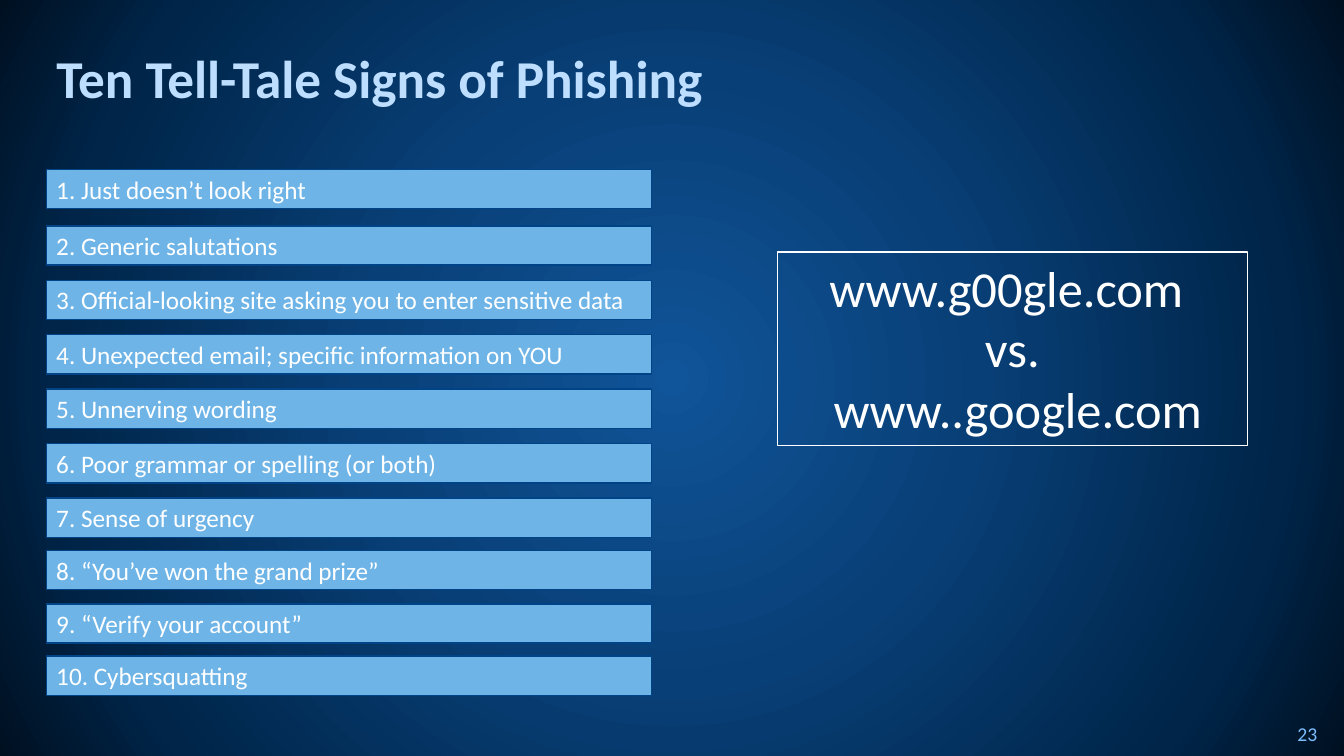
from pptx import Presentation
from pptx.dml.color import RGBColor
from pptx.enum import shapes, text
from pptx.oxml import parse_xml
from pptx.oxml.ns import nsdecls
from pptx.util import Inches, Pt

FONT = "Calibri"
TITLE_BLUE = RGBColor(0xBD, 0xDE, 0xFF)
NUMBER_BLUE = RGBColor(0x7B, 0xBE, 0xFF)
BAR_BLUE = RGBColor(0x6E, 0xB4, 0xE7)
BAR_EDGE = RGBColor(0x00, 0x43, 0x86)
WHITE = RGBColor(0xFF, 0xFF, 0xFF)
BACKDROP = [
    (0, RGBColor(0x10, 0x54, 0x99)),
    (40, RGBColor(0x08, 0x3F, 0x76)),
    (80, RGBColor(0x00, 0x25, 0x49)),
    (100, RGBColor(0x00, 0x10, 0x21)),
]
SIGNS = [
    (1.68, "Just doesn’t look right"),
    (2.24, "Generic salutations"),
    (2.78, "Official-looking site asking you to enter sensitive data"),
    (3.32, "Unexpected email; specific information on YOU"),
    (3.86, "Unnerving wording"),
    (4.4, "Poor grammar or spelling (or both)"),
    (4.94, "Sense of urgency"),
    (5.46, "“You’ve won the grand prize”"),
    (5.99, "“Verify your account”"),
    (6.51, "Cybersquatting"),
]
ADDRESSES = ["www.g00gle.com ", "vs.", " www..google.com"]


def set_backdrop(page):
    stops = "".join(
        f'<a:gs pos="{percent * 1000}"><a:srgbClr val="{color}"/></a:gs>'
        for percent, color in BACKDROP
    )
    page.element.cSld.insert(0, parse_xml(
        f'<p:bg {nsdecls("p", "a")}><p:bgPr><a:gradFill rotWithShape="1">'
        f'<a:gsLst>{stops}</a:gsLst><a:path path="circle">'
        '<a:fillToRect l="50000" t="50000" r="50000" b="50000"/></a:path>'
        '</a:gradFill><a:effectLst/></p:bgPr></p:bg>'
    ))


def place(shape, left, top, width, height):
    shape.left, shape.top = Inches(left), Inches(top)
    shape.width, shape.height = Inches(width), Inches(height)


def write(shape, lines, size, color, align=text.PP_ALIGN.LEFT, bold=False):
    frame = shape.text_frame
    frame.text = "\n".join(lines)
    frame.word_wrap = True
    frame.vertical_anchor = text.MSO_ANCHOR.MIDDLE
    for para in frame.paragraphs:
        para.alignment = align
        for span in para.runs:
            span.font.name = FONT
            span.font.size = Pt(size)
            span.font.bold = bold
            span.font.color.rgb = color


def add_title(page, wording):
    title = page.shapes.title
    place(title, 0.46, 0.31, 12.36, 1)
    write(title, [wording], 38, TITLE_BLUE, bold=True)
    title.text_frame.auto_size = text.MSO_AUTO_SIZE.NONE
    title.text_frame.paragraphs[0].line_spacing = 0.9


def add_page_number(page, number):
    box = page.shapes.add_textbox(
        Inches(12.77), Inches(7.08), Inches(0.56), Inches(0.4))
    write(box, [number], 14, NUMBER_BLUE)


def add_box(page, left, top, width, height, edge, weight):
    box = page.shapes.add_shape(
        shapes.MSO_SHAPE.RECTANGLE,
        Inches(left), Inches(top), Inches(width), Inches(height))
    box.shadow.inherit = False
    box.line.color.rgb = edge
    box.line.width = Pt(weight)
    return box


def add_sign(page, number, top, wording):
    bar = add_box(page, 0.46, top, 6, 0.39, BAR_EDGE, 1)
    bar.fill.solid()
    bar.fill.fore_color.rgb = BAR_BLUE
    write(bar, [f"{number}. {wording}"], 18, WHITE)


def add_example(page, lines):
    box = add_box(page, 7.71, 2.5, 4.66, 1.92, WHITE, 0.75)
    box.fill.background()
    write(box, lines, 36, WHITE, text.PP_ALIGN.CENTER)
    box.text_frame.vertical_anchor = text.MSO_ANCHOR.TOP
    box.text_frame.auto_size = text.MSO_AUTO_SIZE.SHAPE_TO_FIT_TEXT


def main():
    deck = Presentation()
    deck.slide_width, deck.slide_height = Inches(13.33), Inches(7.5)
    page = deck.slides.add_slide(deck.slide_layouts.get_by_name("Title Only"))
    set_backdrop(page)
    add_title(page, "Ten Tell-Tale Signs of Phishing")
    add_page_number(page, "23")
    for number, (top, wording) in enumerate(SIGNS, start=1):
        add_sign(page, number, top, wording)
    add_example(page, ADDRESSES)
    deck.save("out.pptx")


if __name__ == "__main__":
    main()
